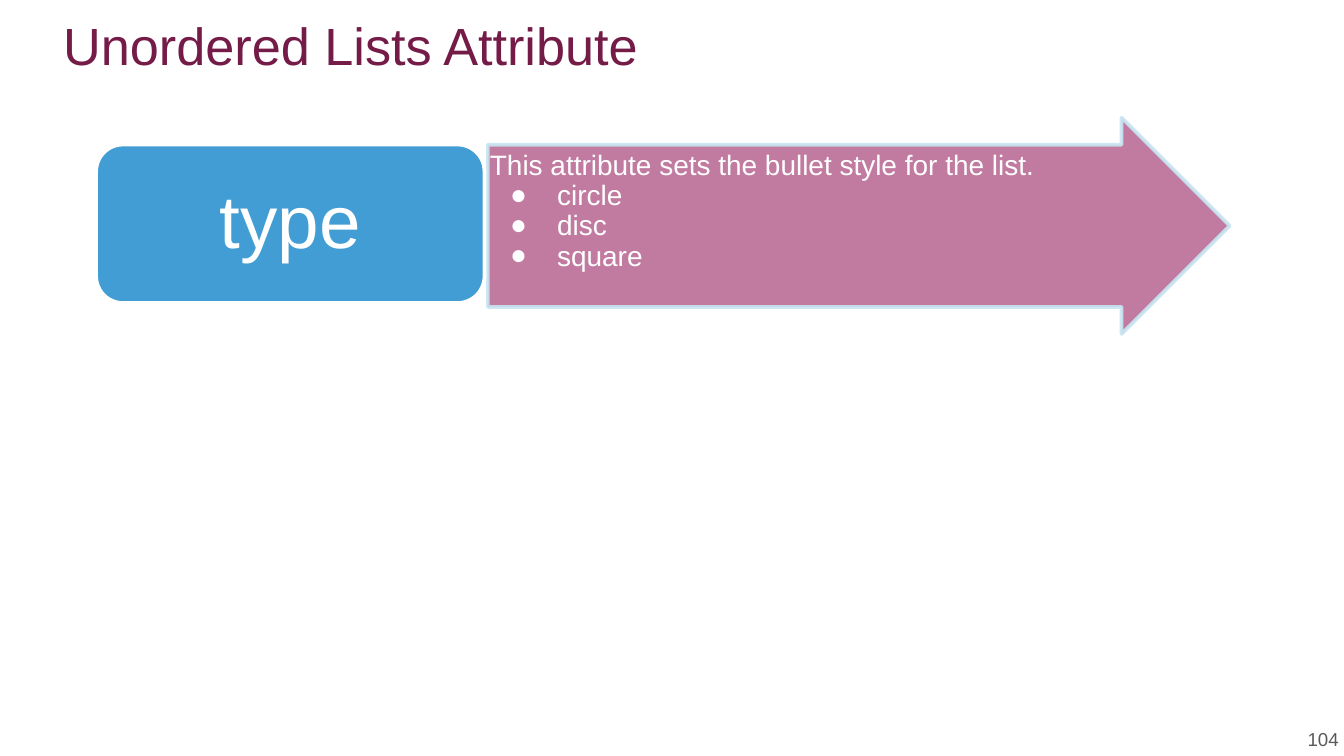
from dataclasses import dataclass

from lxml.etree import SubElement
from pptx import Presentation
from pptx.dml.color import RGBColor
from pptx.enum.shapes import MSO_SHAPE
from pptx.enum.text import MSO_ANCHOR, PP_ALIGN
from pptx.oxml.ns import qn
from pptx.util import Emu, Inches, Pt

COLUMNS, ROWS = 100, 56.25
CELL = Inches(0.1)


@dataclass(frozen=True)
class Theme:
    font: str = "Arial"
    title: str = "741B47"
    label: str = "419DD3"
    arrow: str = "C27BA0"
    arrow_edge: str = "C8E5F2"
    light: str = "FFFFFF"
    number: str = "595959"
    title_size: float = 28
    label_size: float = 40
    body_size: float = 15
    number_size: float = 10
    edge_width: float = 2


@dataclass(frozen=True)
class Area:
    column: float
    row: float
    columns: float
    rows: float

    def frame(self) -> tuple:
        return tuple(Emu(round(cells * CELL)) for cells in
                     (self.column, self.row, self.columns, self.rows))


@dataclass(frozen=True)
class Panel:
    preset: MSO_SHAPE
    area: Area
    adjustments: tuple
    fill: str
    edge: str
    opacity: int = 100


@dataclass(frozen=True)
class Caption:
    area: Area
    lines: tuple
    size: float
    color: str
    align: PP_ALIGN = PP_ALIGN.LEFT
    anchor: MSO_ANCHOR = MSO_ANCHOR.TOP
    inset: tuple = (0, 0)
    spacing: float = 0.9
    bullets_from: int = 99


THEME = Theme()

PANELS = (
    Panel(MSO_SHAPE.RIGHT_ARROW, Area(36.3, 8.75, 55.2, 16.1), (0.75, 0.5),
          THEME.arrow, THEME.arrow_edge, 89),
    Panel(MSO_SHAPE.ROUNDED_RECTANGLE, Area(7.15, 10.75, 28.9, 11.8), (0.17,),
          THEME.label, THEME.light),
)

HEADING = Caption(Area(4.7, 1.9, 83.6, 6.9), ("Unordered Lists Attribute",),
                  THEME.title_size, THEME.title, spacing=0.8)

CAPTIONS = (
    Caption(Area(36.35, 11.15, 50.9, 10.7),
            ("This attribute sets the bullet style for the list.",
             "circle", "disc", "square"),
            THEME.body_size, THEME.light, inset=(0.01, 0.01), bullets_from=1),
    Caption(Area(7.7, 11.35, 27.8, 10.7), ("type",), THEME.label_size,
            THEME.light, PP_ALIGN.CENTER, MSO_ANCHOR.MIDDLE, (0.23, 0.11)),
    Caption(Area(94.6, 50.75, 5, 5.1), ("104",), THEME.number_size,
            THEME.number, PP_ALIGN.RIGHT, MSO_ANCHOR.BOTTOM, spacing=1.0),
)


def add_bullet(paragraph) -> None:
    properties = paragraph._p.get_or_add_pPr()
    properties.set("marL", str(Inches(0.5)))
    properties.set("indent", str(Inches(-0.35)))
    color = SubElement(properties, qn("a:buClr"))
    SubElement(color, qn("a:srgbClr"), val=THEME.light)
    SubElement(properties, qn("a:buFont"), typeface=THEME.font)
    SubElement(properties, qn("a:buChar"), char="●")


def write_caption(holder, caption: Caption) -> None:
    holder.left, holder.top, holder.width, holder.height = caption.area.frame()
    frame = holder.text_frame
    frame.text = "\n".join(caption.lines)
    frame.word_wrap = True
    frame.vertical_anchor = caption.anchor
    across, down = (Inches(inset) for inset in caption.inset)
    frame.margin_left = frame.margin_right = across
    frame.margin_top = frame.margin_bottom = down
    for index, paragraph in enumerate(frame.paragraphs):
        paragraph.alignment = caption.align
        paragraph.line_spacing = caption.spacing
        paragraph.space_before = paragraph.space_after = Pt(0)
        if index >= caption.bullets_from:
            add_bullet(paragraph)
        for run in paragraph.runs:
            run.font.name = THEME.font
            run.font.size = Pt(caption.size)
            run.font.color.rgb = RGBColor.from_string(caption.color)


def draw_panel(slide, panel: Panel) -> None:
    shape = slide.shapes.add_shape(panel.preset, *panel.area.frame())
    shape.shadow.inherit = False
    for index, adjustment in enumerate(panel.adjustments):
        shape.adjustments[index] = adjustment
    shape.fill.solid()
    shape.fill.fore_color.rgb = RGBColor.from_string(panel.fill)
    shape.line.width = Pt(THEME.edge_width)
    shape.line.color.rgb = RGBColor.from_string(panel.edge)
    if panel.opacity < 100:
        edge = shape.line._get_or_add_ln().find(".//" + qn("a:srgbClr"))
        SubElement(edge, qn("a:alpha"), val=str(panel.opacity * 1000))


def main() -> None:
    deck = Presentation()
    deck.slide_width = Emu(round(COLUMNS * CELL))
    deck.slide_height = Emu(round(ROWS * CELL))
    slide = deck.slides.add_slide(deck.slide_layouts[5])
    write_caption(slide.shapes.title, HEADING)
    for panel in PANELS:
        draw_panel(slide, panel)
    for caption in CAPTIONS:
        write_caption(slide.shapes.add_textbox(*caption.area.frame()), caption)
    deck.save("out.pptx")


if __name__ == "__main__":
    main()
